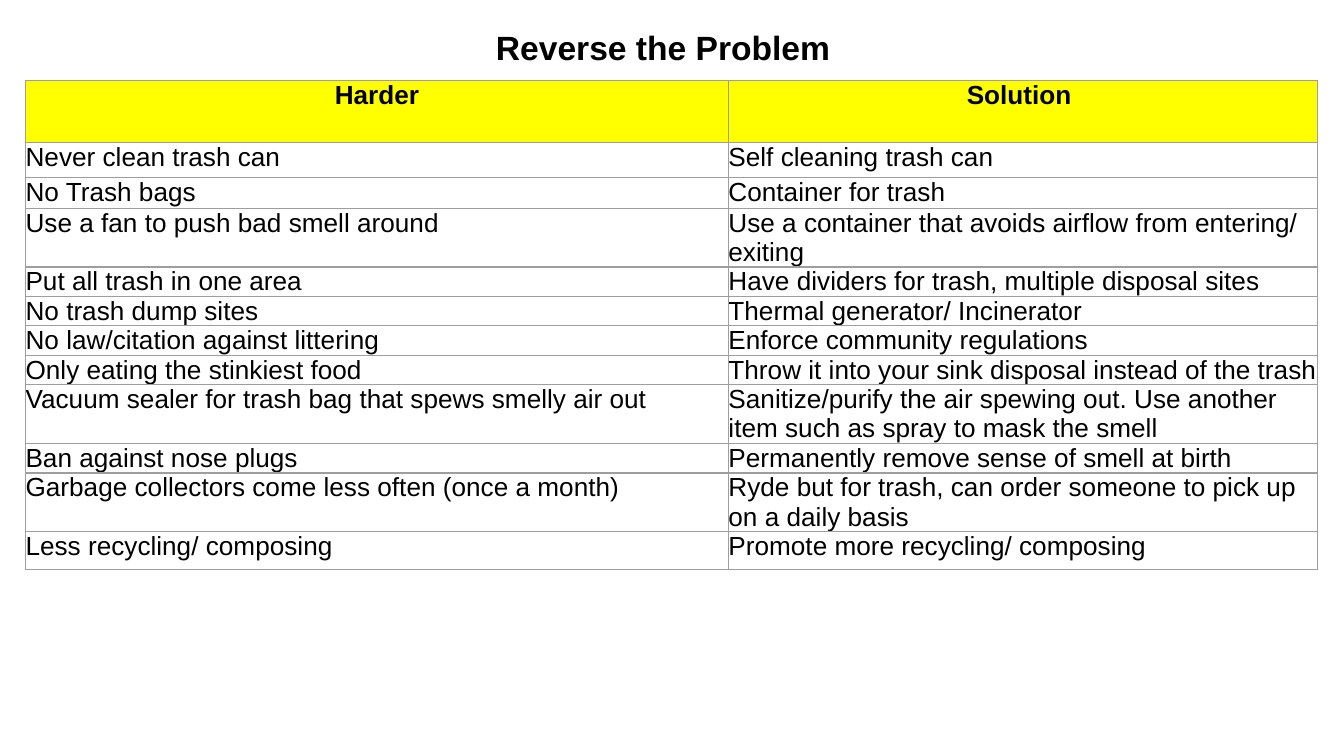
from lxml import etree
from pptx import Presentation
from pptx.dml.color import RGBColor
from pptx.enum.text import MSO_ANCHOR, MSO_AUTO_SIZE, PP_ALIGN
from pptx.oxml.ns import qn
from pptx.util import Inches, Pt

TOP = MSO_ANCHOR.TOP
NO_AUTOFIT = MSO_AUTO_SIZE.NONE
LEFT, CENTER = PP_ALIGN.LEFT, PP_ALIGN.CENTER
TITLE_ONLY = 5
FONT = "Arial"
COLORS = {"text": "000000", "header": "FFFF00", "border": "9E9E9E"}
COLUMN_WIDTHS = [5.23, 4.38]
ROWS = [
    (0.46, "Harder", "Solution "),
    (0.26, "Never clean trash can", "Self cleaning trash can"),
    (0.23, "No Trash bags", "Container for trash"),
    (0.17, "Use a fan to push bad smell around",
     "Use a container that avoids airflow from entering/ exiting"),
    (0.11, "Put all trash in one area", "Have dividers for trash, multiple disposal sites"),
    (0.11, "No trash dump sites", "Thermal generator/ Incinerator"),
    (0.14, "No law/citation against littering", "Enforce community regulations"),
    (0.11, "Only eating the stinkiest food",
     "Throw it into your sink disposal instead of the trash"),
    (0.29, "Vacuum sealer for trash bag that spews smelly air out",
     "Sanitize/purify the air spewing out. Use another item such as spray to mask the smell"),
    (0.11, "Ban against nose plugs", "Permanently remove sense of smell at birth"),
    (0.30, "Garbage collectors come less often (once a month)",
     "Ryde but for trash, can order someone to pick up on a daily basis"),
    (0.28, "Less recycling/ composing", "Promote more recycling/ composing"),
]


def style(para, size, bold, align):
    """Set the font and alignment of a paragraph."""
    para.alignment = align
    para.font.name = FONT
    para.font.size = Pt(size)
    para.font.bold = bold
    para.font.color.rgb = RGBColor.from_string(COLORS["text"])


def add_borders(cell):
    """Draw a thin line on all four sides of a cell."""
    properties = cell._tc.get_or_add_tcPr()
    for side in ("lnL", "lnR", "lnT", "lnB"):
        line = etree.SubElement(properties, qn("a:" + side), w=str(Pt(0.75)))
        fill = etree.SubElement(line, qn("a:solidFill"))
        etree.SubElement(fill, qn("a:srgbClr"), val=COLORS["border"])


deck = Presentation()
deck.slide_width = Inches(10)
deck.slide_height = deck.slide_width * 9 // 16
page = deck.slides.add_slide(deck.slide_layouts[TITLE_ONLY])

title = page.shapes.title
title.left, title.top = Inches(3.59), Inches(0.13)
title.width, title.height = Inches(3.32), Inches(0.45)
frame = title.text_frame
frame.text = "Reverse the Problem"
frame.word_wrap = True
frame.auto_size = NO_AUTOFIT
frame.vertical_anchor = TOP
frame.margin_left = frame.margin_right = Inches(0.1)
frame.margin_top = frame.margin_bottom = Inches(0.07)
style(frame.paragraphs[0], 18, True, LEFT)

table = page.shapes.add_table(
    len(ROWS), len(COLUMN_WIDTHS), Inches(0.19), Inches(0.6),
    Inches(sum(COLUMN_WIDTHS)), Inches(sum(row[0] for row in ROWS))).table
for column, width in zip(table.columns, COLUMN_WIDTHS):
    column.width = Inches(width)

for row_index, (height, *texts) in enumerate(ROWS):
    table.rows[row_index].height = Inches(height)
    is_header = row_index == 0
    for column_index, text in enumerate(texts):
        cell = table.cell(row_index, column_index)
        cell.text = text
        cell.margin_left = cell.margin_right = 0
        cell.margin_top = cell.margin_bottom = 0
        style(cell.text_frame.paragraphs[0], 14, is_header, CENTER if is_header else LEFT)
        add_borders(cell)
        if is_header:
            cell.fill.solid()
            cell.fill.fore_color.rgb = RGBColor.from_string(COLORS["header"])
        else:
            cell.fill.background()

deck.save("out.pptx")
